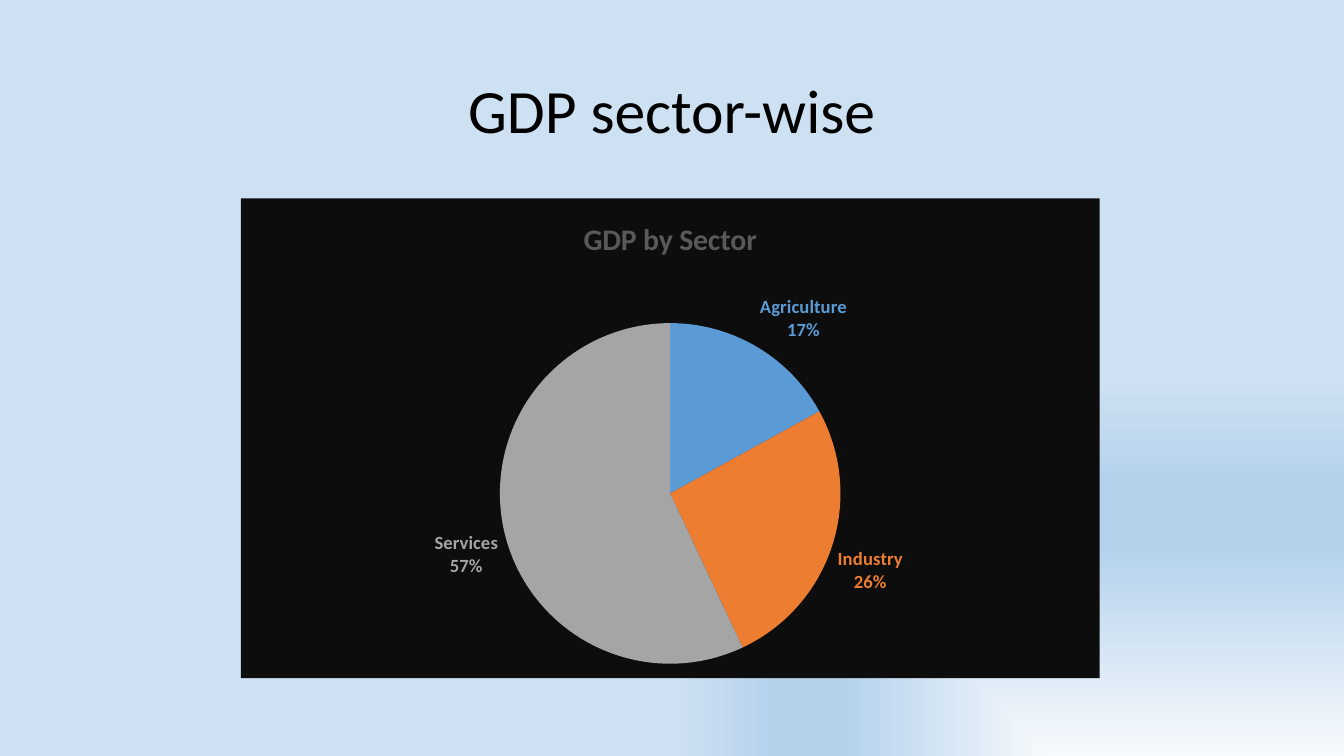
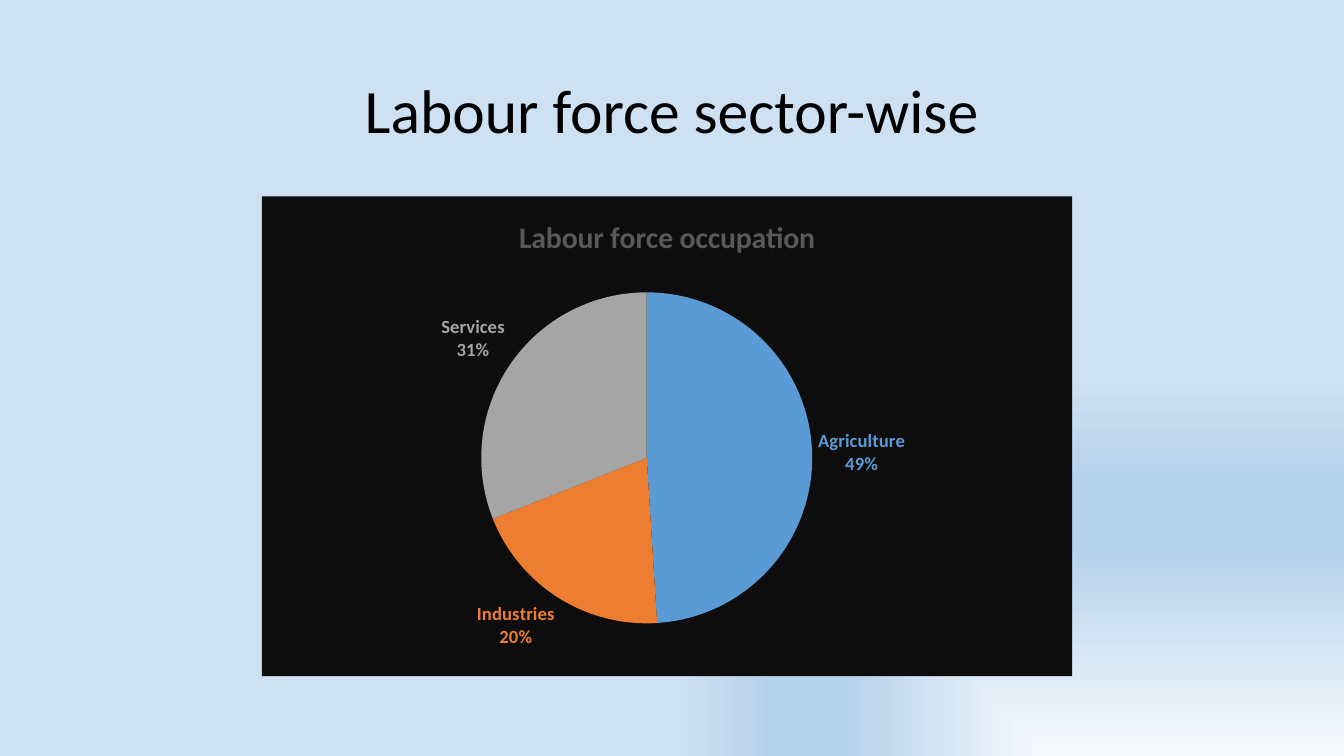
import lxml.etree
import pptx
import pptx.chart.data
import pptx.dml.color
import pptx.enum.chart
import pptx.enum.text
import pptx.oxml
import pptx.oxml.ns
import pptx.util

Cm = pptx.util.Cm
Pt = pptx.util.Pt
qn = pptx.oxml.ns.qn

FONT = "Calibri"
COLOURS = {
    "title": "000000",
    "panel": "0D0D0D",
    "chart title": "595959",
    "glow": "F7FAFD",
    "band": "B5D2EC",
    "sky": "CEE1F2",
}
SECTOR_COLOURS = ["5B9BD5", "ED7D31", "A5A5A5"]
BACKGROUND_STOPS = [(0, "glow"), (55, "band"), (73, "band"), (100, "sky")]

# Plot areas are left, top, width and height as fractions of the chart.
SLIDES = [
    {
        "title": "GDP sector-wise",
        "chart title": "GDP by Sector",
        "shares": {"Agriculture": 17, "Industry": 26, "Services": 57},
        "frame": (6.07, 5.0, 21.64, 12.09),
        "plot area": (0.3, 0.26, 0.4, 0.71),
    },
    {
        "title": "Labour force sector-wise",
        "chart title": "Labour force occupation",
        "shares": {"Agriculture": 49, "Industries": 20, "Services": 31},
        "frame": (6.6, 4.95, 20.42, 12.09),
        "plot area": (0.27, 0.2, 0.41, 0.69),
    },
]


def style_font(font, size, colour, bold=False):
    font.name = FONT
    font.size = Pt(size)
    font.bold = bold
    font.color.rgb = pptx.dml.color.RGBColor.from_string(colour)


def add_chart_element(parent, tag, value):
    element = lxml.etree.SubElement(parent, qn(tag))
    element.set("val", str(value))


deck = pptx.Presentation()
deck.slide_width = Cm(33.87)
deck.slide_height = Cm(19.05)

# Shared background: a rectangular gradient centred on the bottom right corner
background = deck.slide_master.background
background.fill.gradient()
gradient = background._cSld.find(".//" + qn("a:gradFill"))
stops = "".join(
    f'<a:gs pos="{position * 1000}"><a:srgbClr val="{COLOURS[name]}"/></a:gs>'
    for position, name in BACKGROUND_STOPS
)
gradient.getparent().replace(gradient, pptx.oxml.parse_xml(
    f'<a:gradFill {pptx.oxml.ns.nsdecls("a")} rotWithShape="1">'
    f'<a:gsLst>{stops}</a:gsLst>'
    '<a:path path="rect"><a:fillToRect l="100000" t="100000"/></a:path>'
    '</a:gradFill>'
))

for content in SLIDES:
    slide = deck.slides.add_slide(deck.slide_layouts[6])

    title_box = slide.shapes.add_textbox(Cm(2.33), Cm(1.01), Cm(29.21), Cm(3.68))
    title_box.text_frame.word_wrap = True
    title_box.text_frame.vertical_anchor = pptx.enum.text.MSO_ANCHOR.MIDDLE
    para = title_box.text_frame.paragraphs[0]
    para.alignment = pptx.enum.text.PP_ALIGN.CENTER
    para.line_spacing = 0.9
    span = para.add_run()
    span.text = content["title"]
    style_font(span.font, 44, COLOURS["title"])

    chart_data = pptx.chart.data.CategoryChartData()
    chart_data.categories = list(content["shares"])
    chart_data.add_series(content["chart title"], list(content["shares"].values()))
    chart = slide.shapes.add_chart(
        pptx.enum.chart.XL_CHART_TYPE.PIE,
        *[Cm(length) for length in content["frame"]],
        chart_data,
    ).chart
    style_font(chart.font, 10, COLOURS["title"])
    chart.has_legend = False
    chart.has_title = True
    span = chart.chart_title.text_frame.paragraphs[0].add_run()
    span.text = content["chart title"]
    style_font(span.font, 21.3, COLOURS["chart title"], bold=True)

    # Dark panel behind the chart
    chart_space = chart._chartSpace
    chart_space.find(qn("c:chart")).addnext(pptx.oxml.parse_xml(
        f'<c:spPr {pptx.oxml.ns.nsdecls("c", "a")}>'
        f'<a:solidFill><a:srgbClr val="{COLOURS["panel"]}"/></a:solidFill>'
        '<a:ln><a:noFill/></a:ln></c:spPr>'
    ))

    # Fixed place of the pie inside the panel
    plot_area = chart_space.find(".//" + qn("c:plotArea"))
    for old_layout in plot_area.findall(qn("c:layout")):
        plot_area.remove(old_layout)
    layout = lxml.etree.Element(qn("c:layout"))
    manual = lxml.etree.SubElement(layout, qn("c:manualLayout"))
    add_chart_element(manual, "c:layoutTarget", "inner")
    add_chart_element(manual, "c:xMode", "edge")
    add_chart_element(manual, "c:yMode", "edge")
    for tag, fraction in zip(("c:x", "c:y", "c:w", "c:h"), content["plot area"]):
        add_chart_element(manual, tag, fraction)
    plot_area.insert(0, layout)

    plot = chart.plots[0]
    plot.vary_by_categories = True
    series = plot.series[0]
    labels = series.data_labels
    labels.number_format = "0%"
    labels.number_format_is_linked = False
    labels.position = pptx.enum.chart.XL_LABEL_POSITION.OUTSIDE_END
    for index, colour in enumerate(SECTOR_COLOURS):
        point = series.points[index]
        point.format.fill.solid()
        point.format.fill.fore_color.rgb = pptx.dml.color.RGBColor.from_string(colour)
        point.format.line.fill.background()
        style_font(point.data_label.font, 13.3, colour, bold=True)
        point.data_label.position = pptx.enum.chart.XL_LABEL_POSITION.OUTSIDE_END

    # Every label shows the category above its percentage
    label_list = series._element.find(qn("c:dLbls"))
    for label in [label_list, *label_list.findall(qn("c:dLbl"))]:
        for tag, shown in (("c:showVal", 0), ("c:showCatName", 1), ("c:showPercent", 1)):
            label.find(qn(tag)).set("val", str(shown))
        separator = lxml.etree.Element(qn("c:separator"))
        separator.text = "\n"
        label.find(qn("c:showBubbleSize")).addnext(separator)

deck.save("out.pptx")
